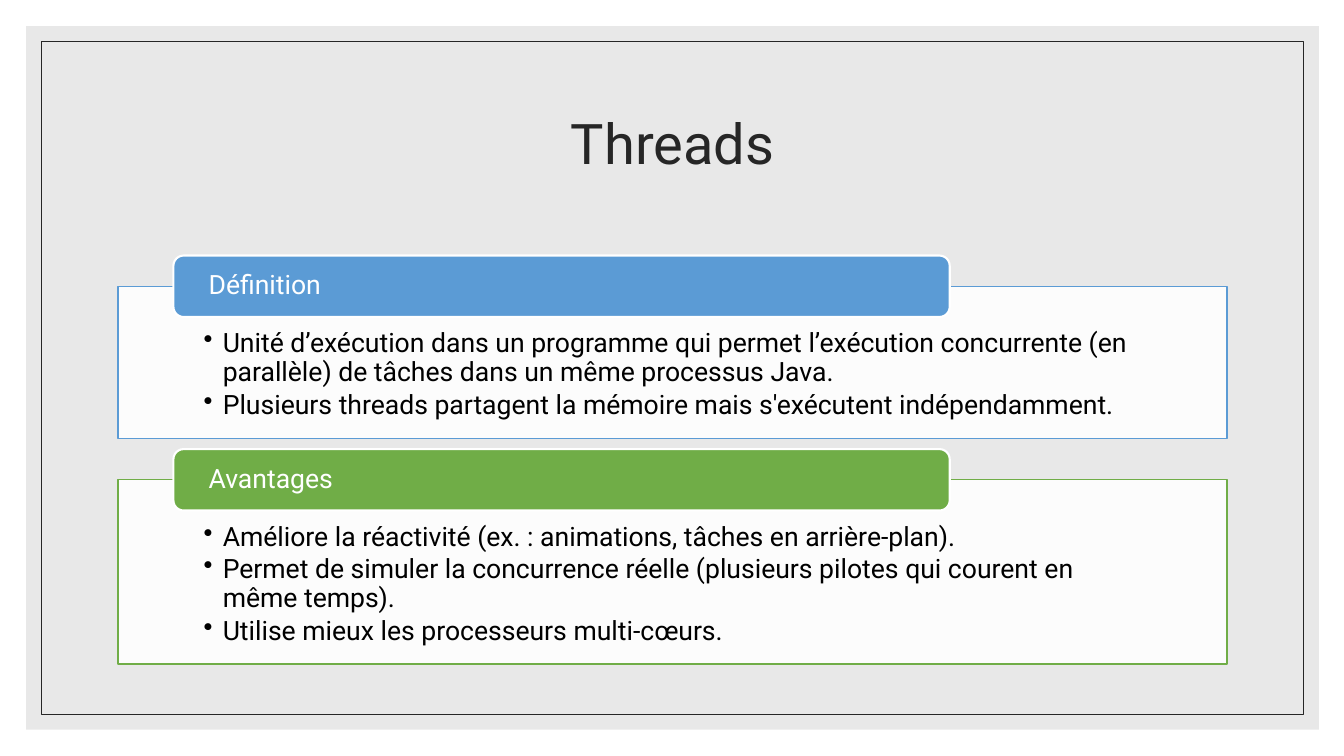
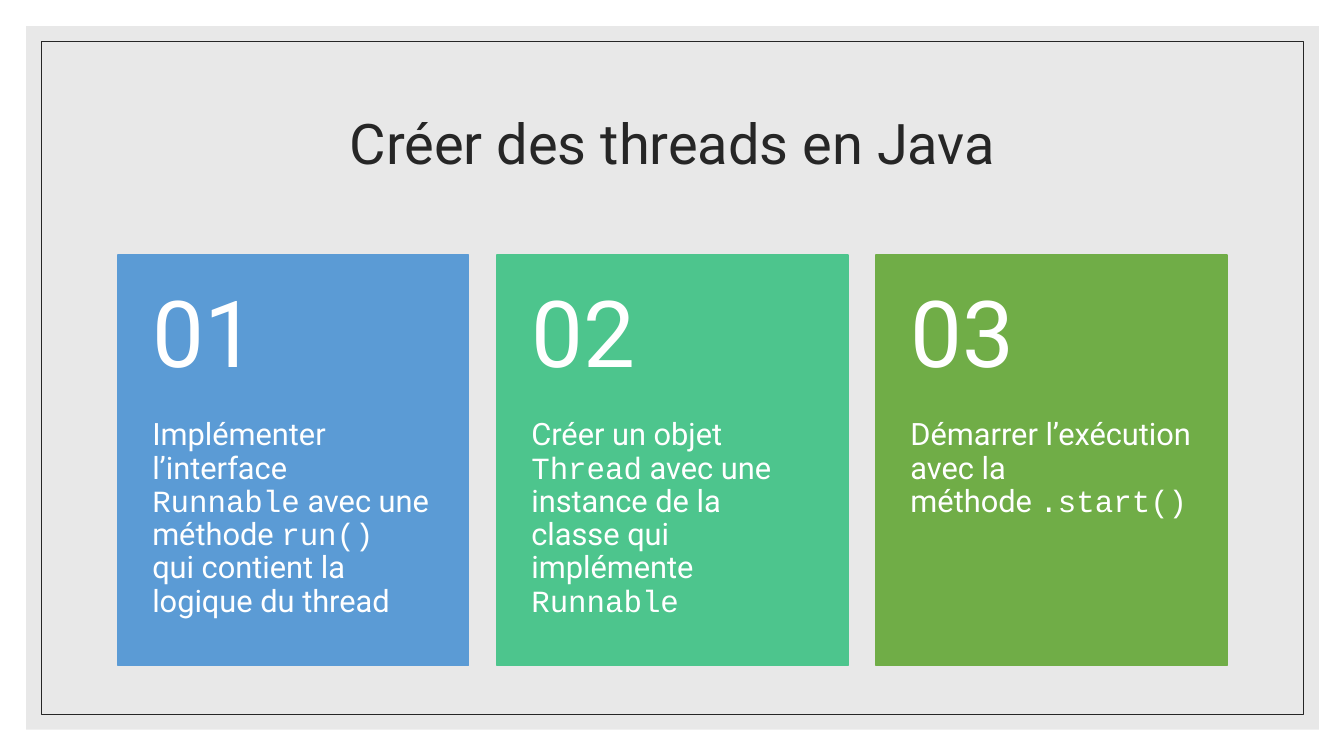
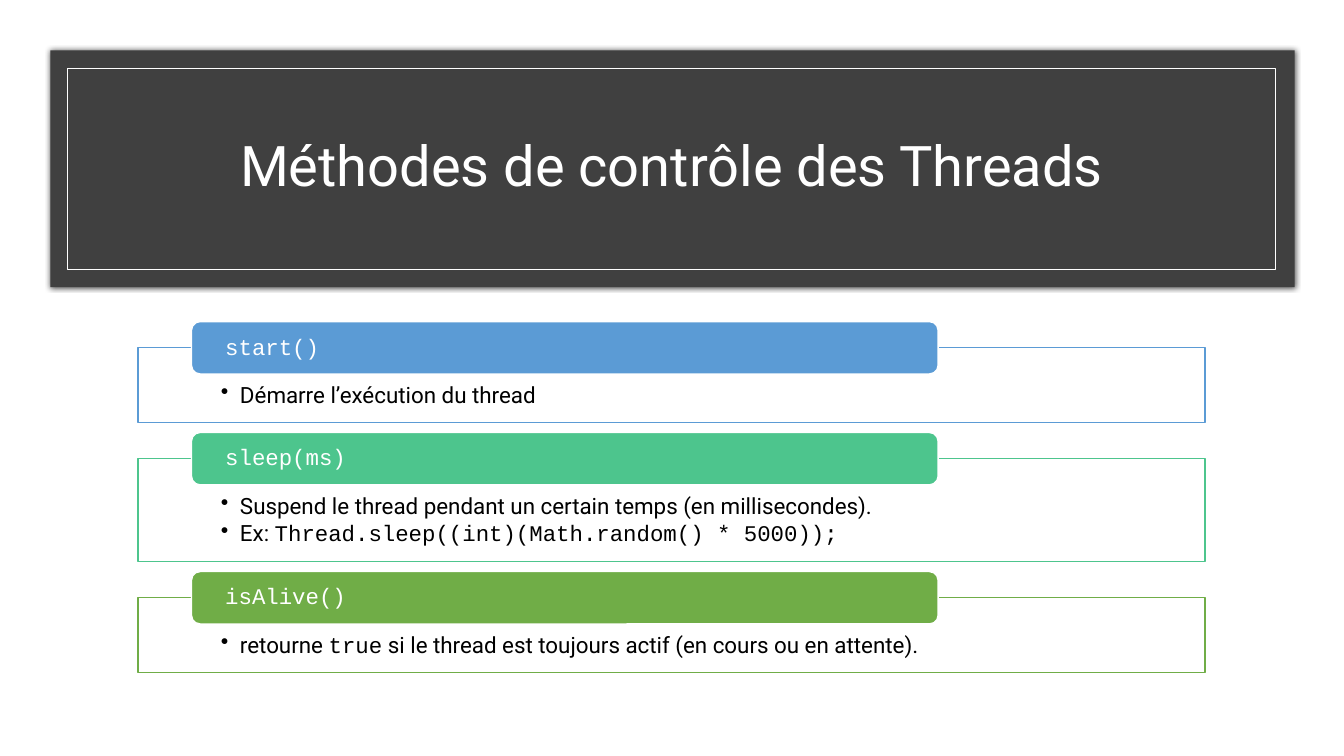
from dataclasses import dataclass
from typing import Optional

import pptx
import pptx.dml.color
import pptx.enum.shapes
import pptx.enum.text
import pptx.oxml
import pptx.oxml.ns
import pptx.util
from pptx.util import Inches

COLORS = {
    "white": "FFFFFF",
    "black": "000000",
    "ink": "262626",
    "mist": "D9D9D9",
    "charcoal": "404040",
    "blue": "5B9BD5",
    "mint": "4DC58D",
    "green": "70AD47",
}
TEXT_FONT = "Roboto"
CODE_FONT = "Courier New"
RECTANGLE = pptx.enum.shapes.MSO_SHAPE.RECTANGLE
ROUNDED = pptx.enum.shapes.MSO_SHAPE.ROUNDED_RECTANGLE
TOP = pptx.enum.text.MSO_ANCHOR.TOP
MIDDLE = pptx.enum.text.MSO_ANCHOR.MIDDLE
LEFT = pptx.enum.text.PP_ALIGN.LEFT
CENTER = pptx.enum.text.PP_ALIGN.CENTER
BULLET_INDENT = 0.19


@dataclass(frozen=True)
class Box:
    left: float
    top: float
    width: float
    height: float

    def lengths(self) -> tuple:
        return tuple(Inches(n) for n in (self.left, self.top, self.width, self.height))


@dataclass(frozen=True)
class Backdrop:
    """A filled area, the thin frame inside it, and the title over both."""
    area: Box
    fill: str
    opacity: int
    shadow: bool
    frame: Box
    accent: str
    title: Box


@dataclass(frozen=True)
class Panel:
    heading: str
    color: str
    height: float
    points: tuple


@dataclass(frozen=True)
class PanelStyle:
    left: float
    top: float
    width: float
    gap: float
    tab_height: float
    tab_line: float
    tab_inset: float
    insets: tuple
    size: int


@dataclass(frozen=True)
class Card:
    number: str
    color: str
    text: str


LIGHT = Backdrop(Box(0.26, 0.26, 12.82, 6.98), "mist", 60, False,
                 Box(0.41, 0.41, 12.52, 6.68), "ink", Box(1.17, 0.7, 11, 1.5))
DARK = Backdrop(Box(0.5, 0.5, 12.34, 2.35), "charcoal", 100, True,
                Box(0.67, 0.68, 11.98, 1.99), "white", Box(1.16, 0.92, 11, 1.5))

LARGE_PANELS = PanelStyle(1.17, 2.84, 11, 0.41, 0.61, 1.5, 0.32,
                          (0.85, 0.43, 0.85, 0.15), 19)
SMALL_PANELS = PanelStyle(1.37, 3.45, 10.58, 0.36, 0.52, 1, 0.31,
                          (0.82, 0.36, 0.82, 0.12), 16)

# Backticks enclose code
THREAD_PANELS = (
    Panel("Définition", "blue", 1.51, (
        "Unité d’exécution dans un programme qui permet l’exécution concurrente "
        "(en parallèle) de tâches dans un même processus Java.",
        "Plusieurs threads partagent la mémoire mais s'exécutent indépendamment.")),
    Panel("Avantages", "green", 1.83, (
        "Améliore la réactivité (ex. : animations, tâches en arrière-plan).",
        "Permet de simuler la concurrence réelle (plusieurs pilotes qui courent "
        "en même temps).",
        "Utilise mieux les processeurs multi-cœurs.")),
)
STEP_CARDS = (
    Card("01", "blue", "Implémenter l’interface `Runnable` avec une méthode `run() `"
         "qui contient la logique du thread"),
    Card("02", "mint", "Créer un objet `Thread` avec une instance de la classe qui "
         "implémente `Runnable`"),
    Card("03", "green", "Démarrer l’exécution avec la méthode `.start()`"),
)
METHOD_PANELS = (
    Panel("`start()`", "blue", 0.74, ("Démarre l’exécution du thread",)),
    Panel("`sleep(ms)`", "mint", 1.02, (
        "Suspend le thread pendant un certain temps (en millisecondes).",
        "Ex: `Thread.sleep((int)(Math.random() * 5000));`")),
    Panel("`isAlive()`", "green", 0.74, (
        "retourne `true` si le thread est toujours actif (en cours ou en attente).",)),
)


def rgb(name: str) -> pptx.dml.color.RGBColor:
    return pptx.dml.color.RGBColor.from_string(COLORS[name])


def add_xml(parent, tag: str, **attributes):
    element = pptx.oxml.parse_xml(f'<a:{tag} {pptx.oxml.ns.nsdecls("a")}/>')
    for name, value in attributes.items():
        element.set(name, str(value))
    parent.append(element)
    return element


def add_shape(slide, box: Box, *, kind=RECTANGLE, fill: Optional[str] = None,
              opacity: int = 100, line: Optional[str] = None,
              line_width: float = 1, shadow: bool = False):
    shape = slide.shapes.add_shape(kind, *box.lengths())
    shape.shadow.inherit = False
    properties = shape.element.spPr
    if fill:
        shape.fill.solid()
        shape.fill.fore_color.rgb = rgb(fill)
        if opacity < 100:
            color = properties.find(pptx.oxml.ns.qn("a:solidFill"))[0]
            add_xml(color, "alpha", val=opacity * 1000)
    else:
        shape.fill.background()
    if line:
        shape.line.color.rgb = rgb(line)
        shape.line.width = pptx.util.Pt(line_width)
    else:
        shape.line.fill.background()
    if shadow:
        effects = properties.find(pptx.oxml.ns.qn("a:effectLst"))
        outer = add_xml(effects, "outerShdw", blurRad=pptx.util.Pt(4), dist=0,
                        algn="ctr", rotWithShape=0)
        color = add_xml(outer, "srgbClr", val=COLORS["black"])
        add_xml(color, "alpha", val=66000)
    return shape


def write_text(shape, *texts: str, size: int, color: str, anchor=TOP, align=LEFT,
               insets: tuple = (0.1, 0.05, 0.1, 0.05), bullets: bool = False) -> None:
    frame = shape.text_frame
    frame.word_wrap = True
    frame.vertical_anchor = anchor
    (frame.margin_left, frame.margin_top,
     frame.margin_right, frame.margin_bottom) = (Inches(n) for n in insets)
    for index, text in enumerate(texts):
        paragraph = frame.add_paragraph() if index else frame.paragraphs[0]
        paragraph.alignment = align
        paragraph.line_spacing = 0.9
        if bullets:
            paragraph.space_after = pptx.util.Pt(round(size * 0.15, 1))
            properties = paragraph._p.get_or_add_pPr()
            properties.set("marL", str(Inches(BULLET_INDENT)))
            properties.set("indent", str(-Inches(BULLET_INDENT)))
            add_xml(properties, "buChar", char="•")
        for position, part in enumerate(text.split("`")):
            if part:
                run = paragraph.add_run()
                run.text = part
                run.font.name = CODE_FONT if position % 2 else TEXT_FONT
                run.font.size = pptx.util.Pt(size)
                run.font.color.rgb = rgb(color)


def add_text(slide, box: Box, text: str, **text_format) -> None:
    write_text(slide.shapes.add_textbox(*box.lengths()), text, **text_format)


def add_slide(presentation, title: str, backdrop: Backdrop):
    slide = presentation.slides.add_slide(presentation.slide_layouts[6])
    slide.background.fill.solid()
    slide.background.fill.fore_color.rgb = rgb("white")
    add_shape(slide, backdrop.area, fill=backdrop.fill, opacity=backdrop.opacity,
              shadow=backdrop.shadow)
    add_shape(slide, backdrop.frame, line=backdrop.accent, line_width=0.5)
    add_text(slide, backdrop.title, title, size=40, color=backdrop.accent,
             anchor=MIDDLE, align=CENTER)
    return slide


def add_panels(slide, panels: tuple, style: PanelStyle) -> None:
    top = style.top
    for panel in panels:
        body = add_shape(slide, Box(style.left, top, style.width, panel.height),
                         fill="white", opacity=90, line=panel.color)
        write_text(body, *panel.points, size=style.size, color="black",
                   insets=style.insets, bullets=True)
        # The tab straddles the top edge of its panel
        tab_box = Box(style.left + style.width * 0.05, top - style.tab_height / 2,
                      style.width * 0.7, style.tab_height)
        tab = add_shape(slide, tab_box, kind=ROUNDED, fill=panel.color,
                        line="white", line_width=style.tab_line)
        write_text(tab, panel.heading, size=style.size, color="white", anchor=MIDDLE,
                   insets=(style.tab_inset, 0, style.tab_inset, 0))
        top += panel.height + style.gap


def add_cards(slide, cards: tuple) -> None:
    left, top, width, gap = 1.17, 2.53, 3.48, 0.28
    number_height, text_height = 1.63, 2.44
    for index, card in enumerate(cards):
        x = left + index * (width + gap)
        add_shape(slide, Box(x, top, width, number_height + text_height),
                  fill=card.color, line=card.color)
        add_text(slide, Box(x, top + number_height, width, text_height), card.text,
                 size=22, color="white", insets=(0.34, 0, 0.35, 0.36))
        add_text(slide, Box(x, top, width, number_height), card.number, size=66,
                 color="white", anchor=MIDDLE, insets=(0.34, 0.18, 0.34, 0.18))


def main() -> None:
    presentation = pptx.Presentation()
    presentation.slide_width = Inches(13.33)
    presentation.slide_height = Inches(7.5)

    # Definition and benefits
    slide = add_slide(presentation, "Threads", LIGHT)
    add_panels(slide, THREAD_PANELS, LARGE_PANELS)

    # Three steps
    slide = add_slide(presentation, "Créer des threads en Java", LIGHT)
    add_cards(slide, STEP_CARDS)

    # Control methods
    slide = add_slide(presentation, "Méthodes de contrôle des Threads", DARK)
    add_panels(slide, METHOD_PANELS, SMALL_PANELS)

    presentation.save("out.pptx")


if __name__ == "__main__":
    main()
